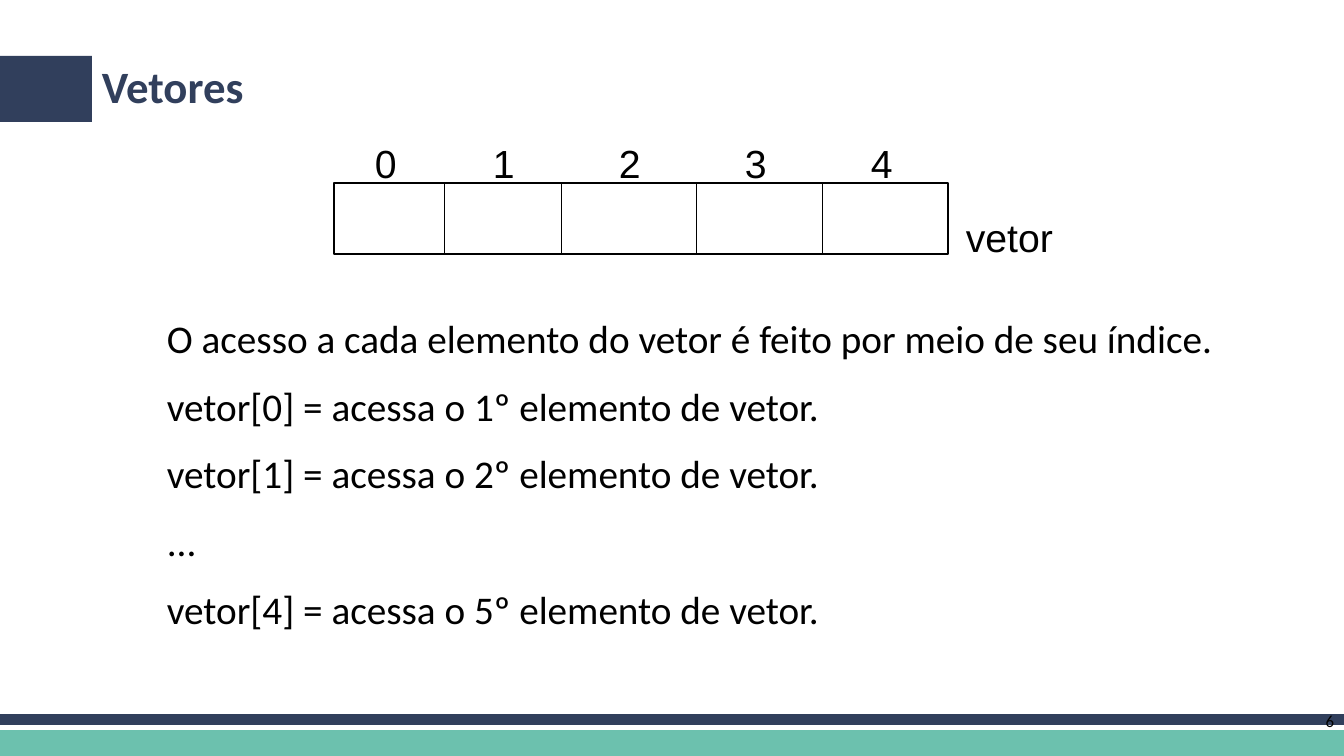
from lxml.etree import SubElement
from pptx import Presentation
from pptx.dml.color import RGBColor
from pptx.enum.shapes import MSO_CONNECTOR as Connector, MSO_SHAPE as Shape
from pptx.enum.text import MSO_ANCHOR as Anchor, MSO_AUTO_SIZE as AutoSize, PP_ALIGN as Align
from pptx.oxml.ns import qn
from pptx.util import Pt

NAVY, TEAL, WHITE, BLACK = "313F5C", "6CC1AE", "FFFFFF", "000000"
BANDS = [
    (0, 730, 1344, 26, TEAL),
    (0, 714, 1344, 11, NAVY),
    (0, 56, 92, 66, NAVY),
]
TITLE = "Vetores"
PAGE_NUMBER = "6"
EXPLANATION = [
    "O acesso a cada elemento do vetor é feito por meio de seu índice.",
    "vetor[0] = acessa o 1º elemento de vetor.",
    "vetor[1] = acessa o 2º elemento de vetor.",
    "...",
    "vetor[4] = acessa o 5º elemento de vetor.",
]
ARRAY_BOX = (334, 183, 614, 71)
DIVIDERS = [444, 561, 696, 822]
INDEX_LEFTS = [365, 483, 609, 735, 861]
ARRAY_NAME = ("vetor", 956, 208, 109)
LABEL_HEIGHT = 57


def px(length):
    return round(length * 914400 / 100.8)


def color(value):
    return RGBColor.from_string(value)


def add_rectangle(box, fill=None, line=None):
    shape = slide.shapes.add_shape(Shape.RECTANGLE, *map(px, box))
    shape.shadow.inherit = False
    if fill:
        shape.fill.solid()
        shape.fill.fore_color.rgb = color(fill)
    else:
        shape.fill.background()
    if line:
        shape.line.color.rgb = color(line)
        shape.line.width = Pt(1)
    else:
        shape.line.fill.background()
    return shape


def write(shape, lines, size, font="Calibri", ink=BLACK, bold=False,
          align=Align.LEFT, anchor=Anchor.MIDDLE, wrap=True):
    frame = shape.text_frame
    frame.text = "\n".join(lines)
    frame.word_wrap = wrap
    frame.vertical_anchor = anchor
    for paragraph in frame.paragraphs:
        paragraph.alignment = align
        paragraph.font.size = Pt(size)
        paragraph.font.name = font
        paragraph.font.bold = bold
        paragraph.font.color.rgb = color(ink)
    return frame


def add_text(box, text, size, **style):
    return write(slide.shapes.add_textbox(*map(px, box)), [text], size, **style)


def add_label(text, left, top, width):
    frame = add_text((left, top, width, LABEL_HEIGHT), text, 28, font="Arial",
                     anchor=Anchor.TOP, wrap=False)
    frame.auto_size = AutoSize.SHAPE_TO_FIT_TEXT


presentation = Presentation()
presentation.slide_width = px(1344)
presentation.slide_height = px(756)
slide = presentation.slides.add_slide(presentation.slide_layouts[6])

for *box, fill in BANDS:
    add_rectangle(box, fill)

body = add_rectangle((157, 166, 1095, 497), WHITE)
fill_color = body.fill._xPr.find(qn("a:solidFill"))[0]
SubElement(fill_color, qn("a:alpha"), val="90000")
body_frame = write(body, EXPLANATION, 28, anchor=Anchor.TOP)
body_frame.margin_top = px(142)
for position, paragraph in enumerate(body_frame.paragraphs):
    paragraph.line_spacing = 1.13
    paragraph.space_before = Pt(10.5 if position else 0)

title_frame = add_text((92, 36, 1159, 106), TITLE, 32, ink=NAVY, bold=True)
title_frame.paragraphs[0].line_spacing = 0.9
add_text((1109, 701, 235, 40), PAGE_NUMBER, 12, align=Align.RIGHT)

add_rectangle(ARRAY_BOX, line=BLACK)
array_top, array_bottom = ARRAY_BOX[1], ARRAY_BOX[1] + ARRAY_BOX[3]
for x in DIVIDERS:
    divider = slide.shapes.add_connector(
        Connector.STRAIGHT, px(x), px(array_top), px(x), px(array_bottom))
    divider.line.color.rgb = color(BLACK)
    divider.line.width = Pt(0.5)
    SubElement(divider._element.spPr, qn("a:effectLst"))

add_label(*ARRAY_NAME)
for index, left in enumerate(INDEX_LEFTS):
    add_label(str(index), left, 134, 42)

presentation.save("out.pptx")
